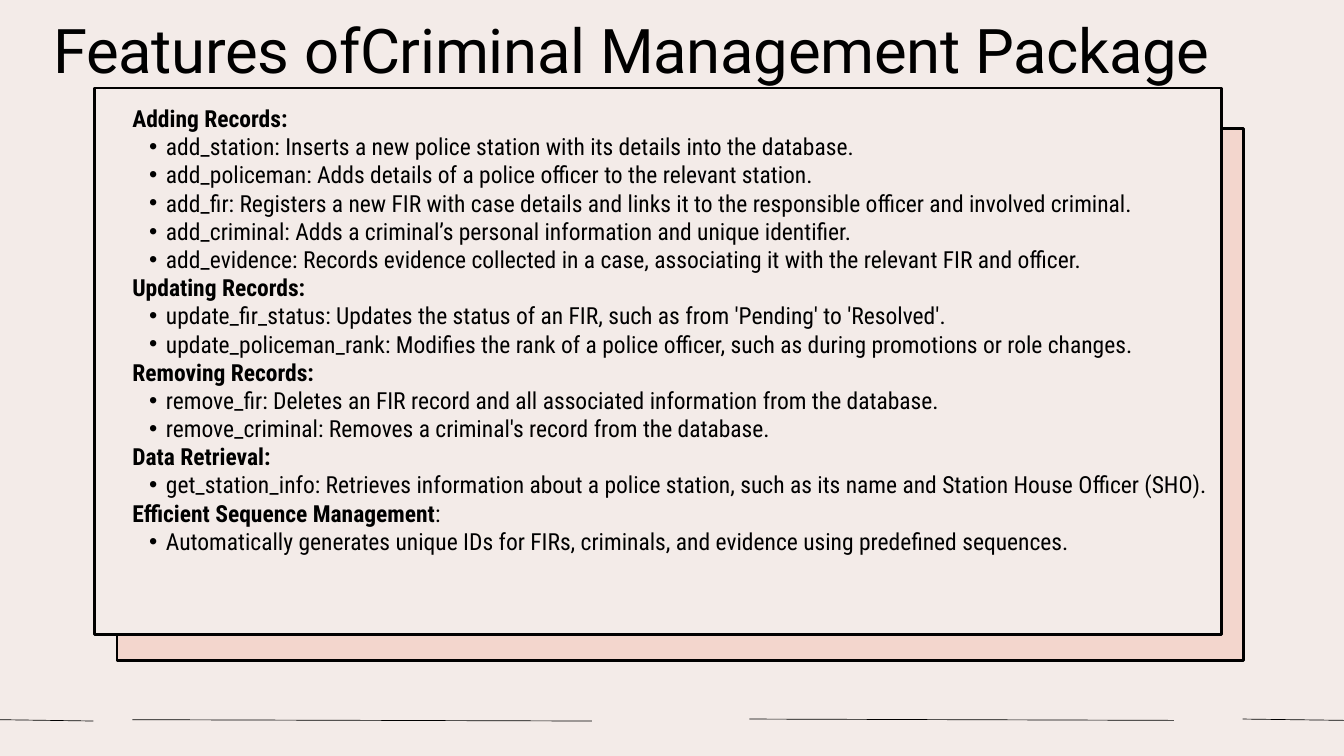
"""Builds the slide on the features of the criminal management package."""
from lxml import etree
from pptx import Presentation
from pptx.dml.color import RGBColor
from pptx.enum import shapes, text
from pptx.oxml import ns
from pptx.util import Pt

THEME = {
    "ink": "000000", "paper": "F3EBE8", "blush": "F3D6CD",
    "title_font": "Roboto", "body_font": "Roboto Condensed",
    "title_size": 66, "body_size": 25.2,
    "title_leading": 71.3, "body_leading": 30.2,
    "border": 2.9, "rule": 0.75,
}

TITLE = "Features ofCriminal Management Package"
FEATURES = [
    ("Adding Records", ":", [
        "add_station: Inserts a new police station with its details into the database.",
        "add_policeman: Adds details of a police officer to the relevant station.",
        "add_fir: Registers a new FIR with case details and links it to the responsible officer and involved criminal.",
        "add_criminal: Adds a criminal’s personal information and unique identifier.",
        "add_evidence: Records evidence collected in a case, associating it with the relevant FIR and officer.",
    ]),
    ("Updating Records", ":", [
        "update_fir_status: Updates the status of an FIR, such as from 'Pending' to 'Resolved'.",
        "update_policeman_rank: Modifies the rank of a police officer, such as during promotions or role changes.",
    ]),
    ("Removing Records", ":", [
        "remove_fir: Deletes an FIR record and all associated information from the database.",
        "remove_criminal: Removes a criminal's record from the database.",
    ]),
    ("Data Retrieval", ":", [
        "get_station_info: Retrieves information about a police station, such as its name and Station House Officer (SHO).",
    ]),
    ("Efficient Sequence Management", "", [
        "Automatically generates unique IDs for FIRs, criminals, and evidence using predefined sequences.",
    ]),
]
PLAIN_COLON = "Efficient Sequence Management"

PANELS = [
    (125.3, 137.4, 1207.4, 570.6, "blush"),
    (101.5, 94.4, 1207.4, 585.4, "paper"),
]
FLOOR_RULES = [(-0.7, 100.1, 771.1), (141.8, 634.3, 771.1), (802.8, 1257.8, 770.4), (1331.3, 1440.7, 770.4)]
RULE_DROP = 1.44
BULLET_INDENT, BULLET_HANG = 36, 18


def color(name):
    """Returns a theme colour."""
    return RGBColor.from_string(THEME[name])


def add_panel(slide, left, top, width, height, fill):
    """Draws one bordered panel."""
    panel = slide.shapes.add_shape(
        shapes.MSO_SHAPE.RECTANGLE, Pt(left), Pt(top), Pt(width), Pt(height))
    panel.shadow.inherit = False
    panel.fill.solid()
    panel.fill.fore_color.rgb = color(fill)
    panel.line.color.rgb = color("ink")
    panel.line.width = Pt(THEME["border"])


def add_floor_rule(slide, start, end, top):
    """Draws one thin, slightly falling line."""
    rule = slide.shapes.add_connector(
        shapes.MSO_CONNECTOR.STRAIGHT, Pt(start), Pt(top), Pt(end), Pt(top + RULE_DROP))
    rule.line.color.rgb = color("ink")
    rule.line.width = Pt(THEME["rule"])
    etree.SubElement(rule._element.spPr, ns.qn("a:effectLst"))


def add_frame(slide, left, top, width, height):
    """Adds an empty text frame without margins."""
    frame = slide.shapes.add_textbox(Pt(left), Pt(top), Pt(width), Pt(height)).text_frame
    frame.word_wrap = True
    frame.vertical_anchor = text.MSO_ANCHOR.TOP
    frame.margin_left = frame.margin_right = frame.margin_top = frame.margin_bottom = 0
    return frame


def write(paragraph, words, *, style="body", bold=False, spacing=None):
    """Adds formatted words to a paragraph."""
    paragraph.line_spacing = Pt(THEME[f"{style}_leading"])
    run = paragraph.add_run()
    run.text = words
    run.font.name = THEME[f"{style}_font"]
    run.font.size = Pt(THEME[f"{style}_size"])
    run.font.bold = bold
    run.font.color.rgb = color("ink")
    if spacing is not None:
        run._r.get_or_add_rPr().set("spc", str(round(spacing * 100)))


def add_bullet(paragraph):
    """Gives a paragraph a hanging bullet."""
    paragraph.level = 1
    properties = paragraph._p.get_or_add_pPr()
    properties.set("marL", str(Pt(BULLET_INDENT)))
    properties.set("indent", str(-Pt(BULLET_HANG)))
    etree.SubElement(properties, ns.qn("a:buFont"), typeface="Arial")
    etree.SubElement(properties, ns.qn("a:buChar"), char="•")


def add_features(frame):
    """Writes each heading followed by its bulleted features."""
    paragraph = frame.paragraphs[0]
    for index, (heading, colon, details) in enumerate(FEATURES):
        if index:
            paragraph = frame.add_paragraph()
        write(paragraph, heading + colon, bold=True)
        if heading == PLAIN_COLON:
            write(paragraph, ":")
        for detail in details:
            feature = frame.add_paragraph()
            write(feature, detail)
            add_bullet(feature)


def main():
    """Builds and saves the slide."""
    deck = Presentation()
    deck.slide_width, deck.slide_height = Pt(1440), Pt(810)
    slide = deck.slides.add_slide(deck.slide_layouts[6])
    slide.background.fill.solid()
    slide.background.fill.fore_color.rgb = color("paper")
    for rule in FLOOR_RULES:
        add_floor_rule(slide, *rule)
    for panel in PANELS:
        add_panel(slide, *panel)
    title = add_frame(slide, 56.9, 20.2, 1442.2, 73.4)
    write(title.paragraphs[0], TITLE, style="title", spacing=-0.3)
    add_features(add_frame(slide, 141.8, 111.6, 1168.6, 512.6))
    deck.save("out.pptx")


if __name__ == "__main__":
    main()
